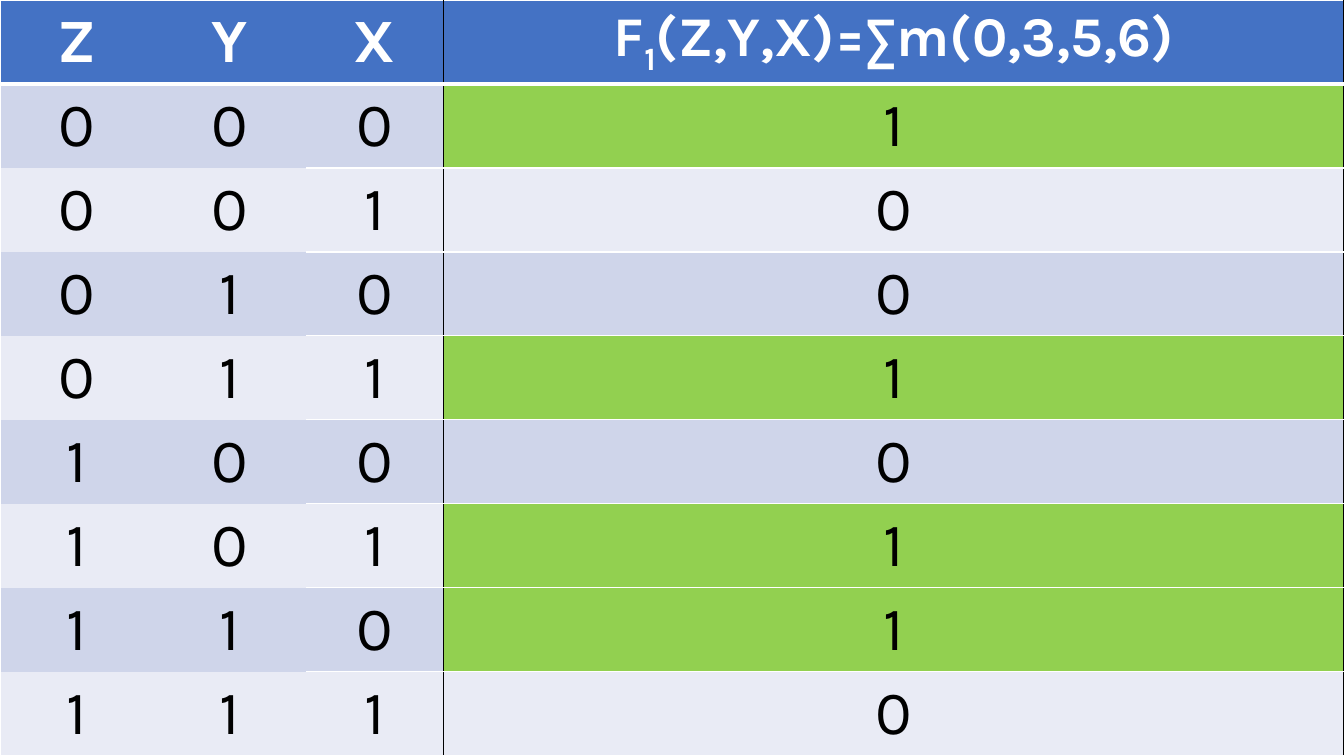
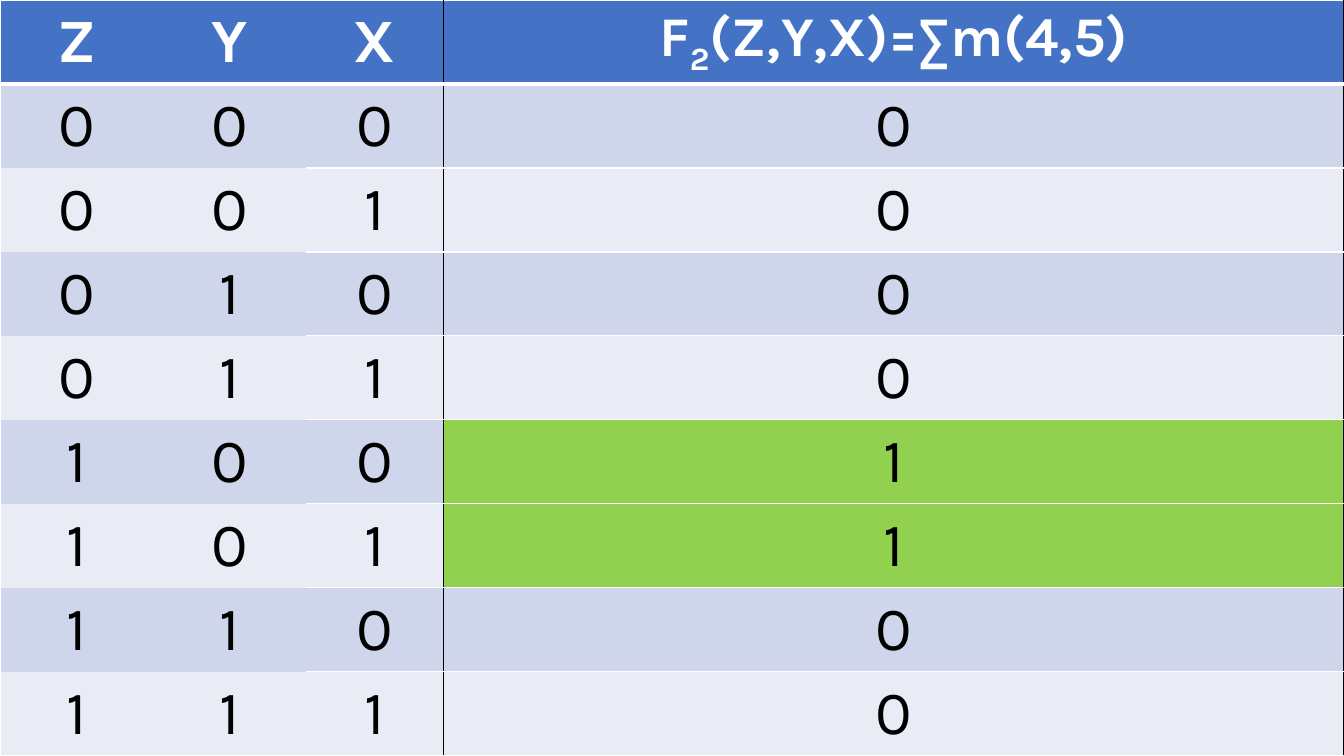
from dataclasses import dataclass

from lxml import etree
from pptx import Presentation
from pptx.dml.color import RGBColor
from pptx.enum.text import MSO_ANCHOR, PP_ALIGN
from pptx.oxml.ns import qn
from pptx.util import Inches, Pt

CENTER = PP_ALIGN.CENTER
MIDDLE = MSO_ANCHOR.MIDDLE


@dataclass(frozen=True)
class Theme:
    font: str = "Karla"
    header: str = "4472C4"
    bands: tuple = ("CFD5EA", "E9EBF5")
    minterm: str = "92D050"
    white: str = "FFFFFF"
    black: str = "000000"
    value_size: int = 44
    function_size: int = 40
    thin: int = 1
    thick: int = 3


THEME = Theme()
WIDTH, HEIGHT = 13.33, 7.5
VARIABLES = ("Z", "Y", "X")
INPUT_WIDTHS = (1.52, 1.52, 1.36)
COLUMN_WIDTHS = INPUT_WIDTHS + (WIDTH - sum(INPUT_WIDTHS),)
ROW_COUNT = 2 ** len(VARIABLES) + 1
LAST_ROW = ROW_COUNT - 1
X_COLUMN, FUNCTION_COLUMN = 2, 3
FUNCTIONS = (("1", (0, 3, 5, 6)), ("2", (4, 5)))


def set_borders(cell, row, column):
    white = (THEME.white, THEME.thin)
    black = (THEME.black, THEME.thin)
    rule = (THEME.white, THEME.thick)
    lined = column >= X_COLUMN
    left = {0: white, FUNCTION_COLUMN: black}.get(column)
    right = black if lined else None
    top = {0: white, 1: rule}.get(row, white if lined else None)
    bottom = {0: rule, LAST_ROW: white}.get(row, white if lined else None)
    properties = cell._tc.get_or_add_tcPr()
    for side, border in zip("LRTB", (left, right, top, bottom)):
        line = etree.SubElement(properties, qn(f"a:ln{side}"))
        if border is None:
            line.set("w", "0")
            etree.SubElement(line, qn("a:noFill"))
        else:
            color, width = border
            line.set("w", str(Pt(width)))
            fill = etree.SubElement(line, qn("a:solidFill"))
            etree.SubElement(fill, qn("a:srgbClr"), val=color)


def fill_cell(cell, spans, fill, color, size, bold):
    cell.fill.solid()
    cell.fill.fore_color.rgb = RGBColor.from_string(fill)
    cell.vertical_anchor = MIDDLE
    para = cell.text_frame.paragraphs[0]
    para.alignment = CENTER
    for text, baseline in spans:
        span = para.add_run()
        span.text = text
        span.font.name = THEME.font
        span.font.size = Pt(size)
        span.font.bold = bold
        span.font.color.rgb = RGBColor.from_string(color)
        if baseline:
            span._r.get_or_add_rPr().set("baseline", str(baseline))


deck = Presentation()
deck.slide_width = Inches(WIDTH)
deck.slide_height = Inches(HEIGHT)
blank_layout = deck.slide_layouts[6]

for subscript, minterms in FUNCTIONS:
    page = deck.slides.add_slide(blank_layout)
    table = page.shapes.add_table(
        ROW_COUNT, len(COLUMN_WIDTHS), 0, 0, Inches(WIDTH), Inches(HEIGHT)
    ).table
    for column, width in zip(table.columns, COLUMN_WIDTHS):
        column.width = Inches(width)
    for row in table.rows:
        row.height = Inches(HEIGHT / ROW_COUNT)

    for row in range(ROW_COUNT):
        for column in range(len(COLUMN_WIDTHS)):
            set_borders(table.cell(row, column), row, column)

    for column, variable in enumerate(VARIABLES):
        fill_cell(table.cell(0, column), [(variable, 0)],
                  THEME.header, THEME.white, THEME.value_size, True)
    minterm_list = ",".join(str(minterm) for minterm in minterms)
    function_spans = [("F", 0), (subscript, -25000),
                      (f"({','.join(VARIABLES)})=∑m({minterm_list})", 0)]
    fill_cell(table.cell(0, FUNCTION_COLUMN), function_spans,
              THEME.header, THEME.white, THEME.function_size, True)

    for index in range(LAST_ROW):
        is_minterm = index in minterms
        band = THEME.bands[index % 2]
        values = format(index, "03b") + str(int(is_minterm))
        for column, value in enumerate(values):
            highlighted = is_minterm and column == FUNCTION_COLUMN
            fill_cell(table.cell(index + 1, column), [(value, 0)],
                      THEME.minterm if highlighted else band,
                      THEME.black, THEME.value_size, False)

deck.save("out.pptx")
